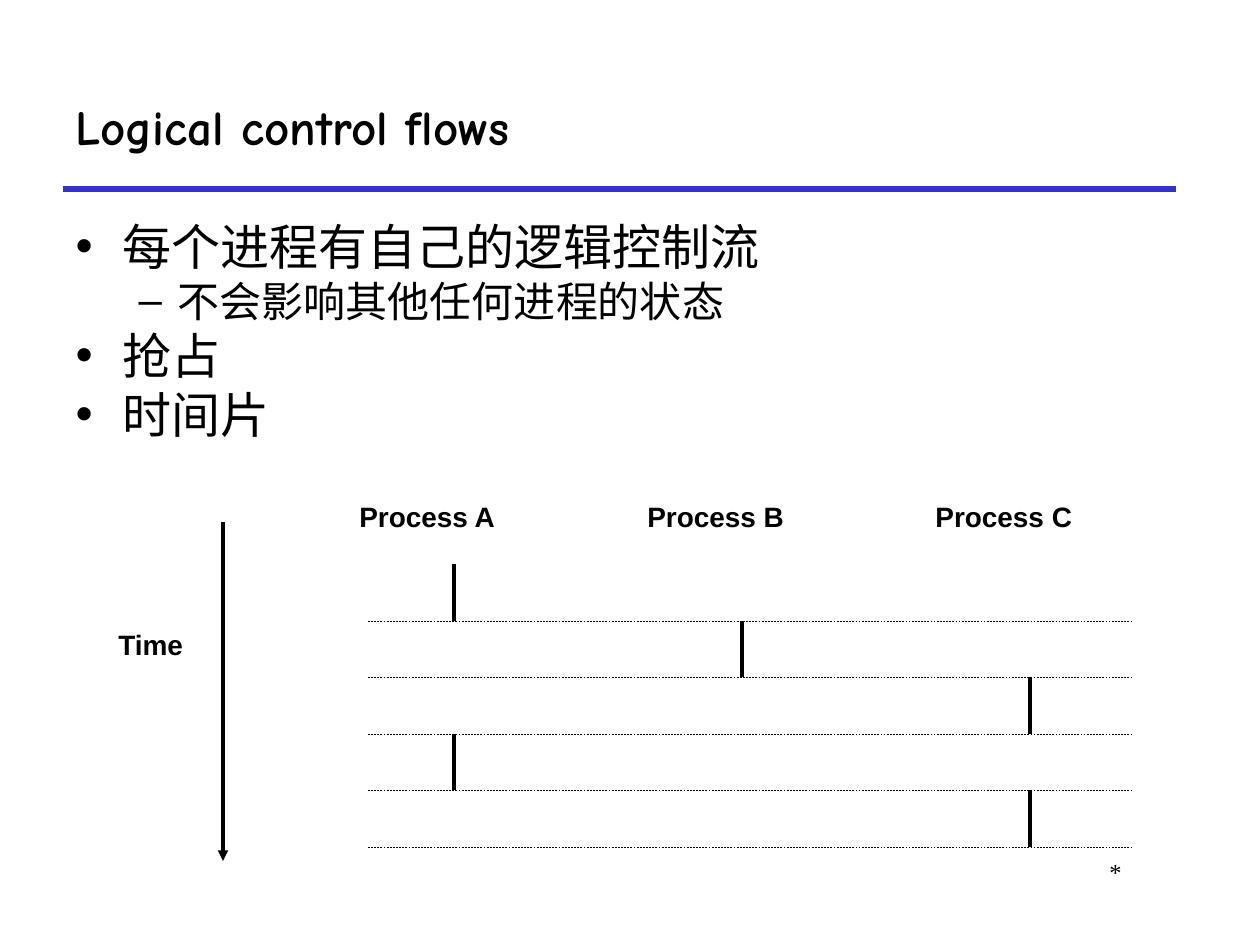
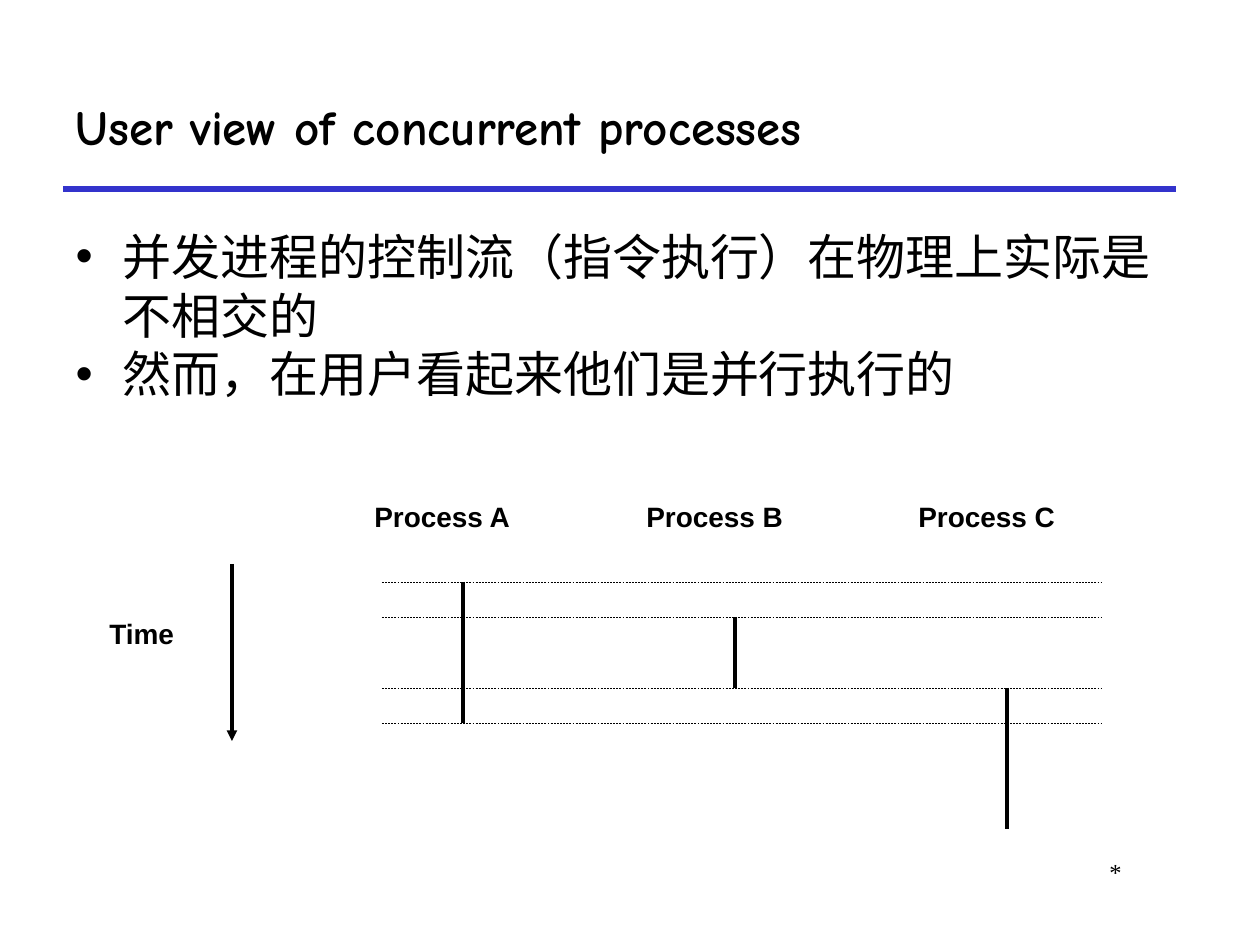
from dataclasses import dataclass

from lxml.etree import SubElement
from pptx import Presentation
from pptx.dml.color import RGBColor
from pptx.enum.dml import MSO_LINE
from pptx.enum.shapes import MSO_CONNECTOR
from pptx.enum.text import MSO_ANCHOR, MSO_AUTO_SIZE, PP_ALIGN
from pptx.oxml.ns import qn
from pptx.util import Emu, Pt

PX = 914400 / 126
COLORS = {"text": "000000", "rule": "3333CC"}
TITLE_FONT, LABEL_FONT, FOOTER_FONT = "Comic Neue", "Arial", "Times New Roman"
BODY_SIZES = (28, 24)
LABEL_TOP, LABEL_H = 493, 47
TIME_W, PROCESS_W = 98, 172


@dataclass(frozen=True)
class Bullet:
    text: str
    level: int = 0


@dataclass(frozen=True)
class Burst:
    column: int
    start: int


@dataclass(frozen=True)
class Timeline:
    arrow: tuple[int, int, int]
    time_at: tuple[int, int]
    label_left: int
    column_left: int
    column_pitch: int
    top: int
    bottom: int
    steps: int
    burst_steps: int
    bursts: tuple[Burst, ...]
    marks: tuple[int, ...]
    mark_span: tuple[int, int]

    def step_y(self, step: int) -> int:
        return round(self.top + (self.bottom - self.top) * step / self.steps)


@dataclass(frozen=True)
class FlowSlide:
    title: str
    body_top: int
    bullets: tuple[Bullet, ...]
    timeline: Timeline


SLIDES = (
    FlowSlide(
        "Logical control flows", 210,
        (Bullet("每个进程有自己的逻辑控制流"), Bullet("不会影响其他任何进程的状态", 1),
         Bullet("抢占"), Bullet("时间片")),
        Timeline((223, 522, 861), (106, 621), 347, 454, 288, 564, 847, 5, 1,
                 (Burst(0, 0), Burst(1, 1), Burst(2, 2), Burst(0, 3), Burst(2, 4)),
                 (1, 2, 3, 4, 5), (368, 1131))),
    FlowSlide(
        "User view of concurrent processes", 220,
        (Bullet("并发进程的控制流（指令执行）在物理上实际是不相交的"),
         Bullet("然而，在用户看起来他们是并行执行的")),
        Timeline((232, 564, 741), (97, 610), 362, 463, 272, 582, 829, 7, 2,
                 (Burst(0, 0), Burst(0, 2), Burst(1, 1), Burst(2, 3), Burst(2, 5)),
                 (0, 1, 3, 4), (382, 1102))),
)


def px(n: float) -> Emu:
    return Emu(round(n * PX))


def place(sp, left: int, top: int, width: int, height: int) -> None:
    sp.left, sp.top, sp.width, sp.height = map(px, (left, top, width, height))


def add_run(p, text: str, font: str, size: int, bold: bool = False) -> None:
    r = p.add_run()
    r.text = text
    r.font.name, r.font.size, r.font.bold = font, Pt(size), bold
    r.font.color.rgb = RGBColor.from_string(COLORS["text"])


def add_line(shapes, x1: int, y1: int, x2: int, y2: int, width: float,
             color: str = "text", dashed: bool = False, arrow: bool = False) -> None:
    sp = shapes.add_connector(MSO_CONNECTOR.STRAIGHT, px(x1), px(y1), px(x2), px(y2))
    sp.line.color.rgb = RGBColor.from_string(COLORS[color])
    sp.line.width = Pt(width)
    if dashed:
        sp.line.dash_style = MSO_LINE.DASH
    spPr = sp._element.spPr
    if arrow:
        SubElement(spPr.find(qn("a:ln")), qn("a:tailEnd"), type="triangle")
    SubElement(spPr, qn("a:effectLst"))


def add_label(shapes, text: str, left: int, top: int, width: int) -> None:
    tf = shapes.add_textbox(px(left), px(top), px(width), px(LABEL_H)).text_frame
    tf.word_wrap = True
    add_run(tf.paragraphs[0], text, LABEL_FONT, 16, True)


def add_frame(s) -> None:
    add_line(s.shapes, 63, 189, 1176, 189, 3, "rule")
    tf = s.shapes.add_textbox(px(955), px(851), px(179), px(63)).text_frame
    tf.word_wrap = True
    p = tf.paragraphs[0]
    p.alignment = PP_ALIGN.RIGHT
    add_run(p, "*", FOOTER_FONT, 14)


def fill_title(s, text: str) -> None:
    sp = s.shapes.title
    place(sp, 63, 63, 1113, 126)
    tf = sp.text_frame
    tf.auto_size = MSO_AUTO_SIZE.NONE
    tf.vertical_anchor = MSO_ANCHOR.MIDDLE
    p = tf.paragraphs[0]
    p.alignment = PP_ALIGN.LEFT
    add_run(p, text, TITLE_FONT, 28, True)


def fill_body(s, top: int, bullets: tuple[Bullet, ...]) -> None:
    sp = s.placeholders[1]
    place(sp, 63, top, 1103, 273)
    tf = sp.text_frame
    tf.auto_size = MSO_AUTO_SIZE.NONE
    for i, bullet in enumerate(bullets):
        p = tf.add_paragraph() if i else tf.paragraphs[0]
        p.level = bullet.level
        p.space_before = Pt(0)
        add_run(p, bullet.text, TITLE_FONT, BODY_SIZES[bullet.level])


def draw_timeline(s, t: Timeline) -> None:
    shapes = s.shapes.add_group_shape().shapes
    x, start, end = t.arrow
    add_line(shapes, x, start, x, end, 2, arrow=True)
    add_label(shapes, "Time", *t.time_at, TIME_W)
    for i, name in enumerate("ABC"):
        add_label(shapes, f"Process {name}", t.label_left + i * t.column_pitch,
                  LABEL_TOP, PROCESS_W)
    for burst in t.bursts:
        x = t.column_left + burst.column * t.column_pitch
        add_line(shapes, x, t.step_y(burst.start),
                 x, t.step_y(burst.start + t.burst_steps), 2)
    left, right = t.mark_span
    for step in t.marks:
        y = t.step_y(step)
        add_line(shapes, left, y, right, y, 0.25, dashed=True)


def main() -> None:
    prs = Presentation()
    prs.slide_width, prs.slide_height = px(1260), px(945)
    for flow in SLIDES:
        s = prs.slides.add_slide(prs.slide_layouts[1])
        add_frame(s)
        fill_title(s, flow.title)
        fill_body(s, flow.body_top, flow.bullets)
        draw_timeline(s, flow.timeline)
    prs.save("out.pptx")


if __name__ == "__main__":
    main()
